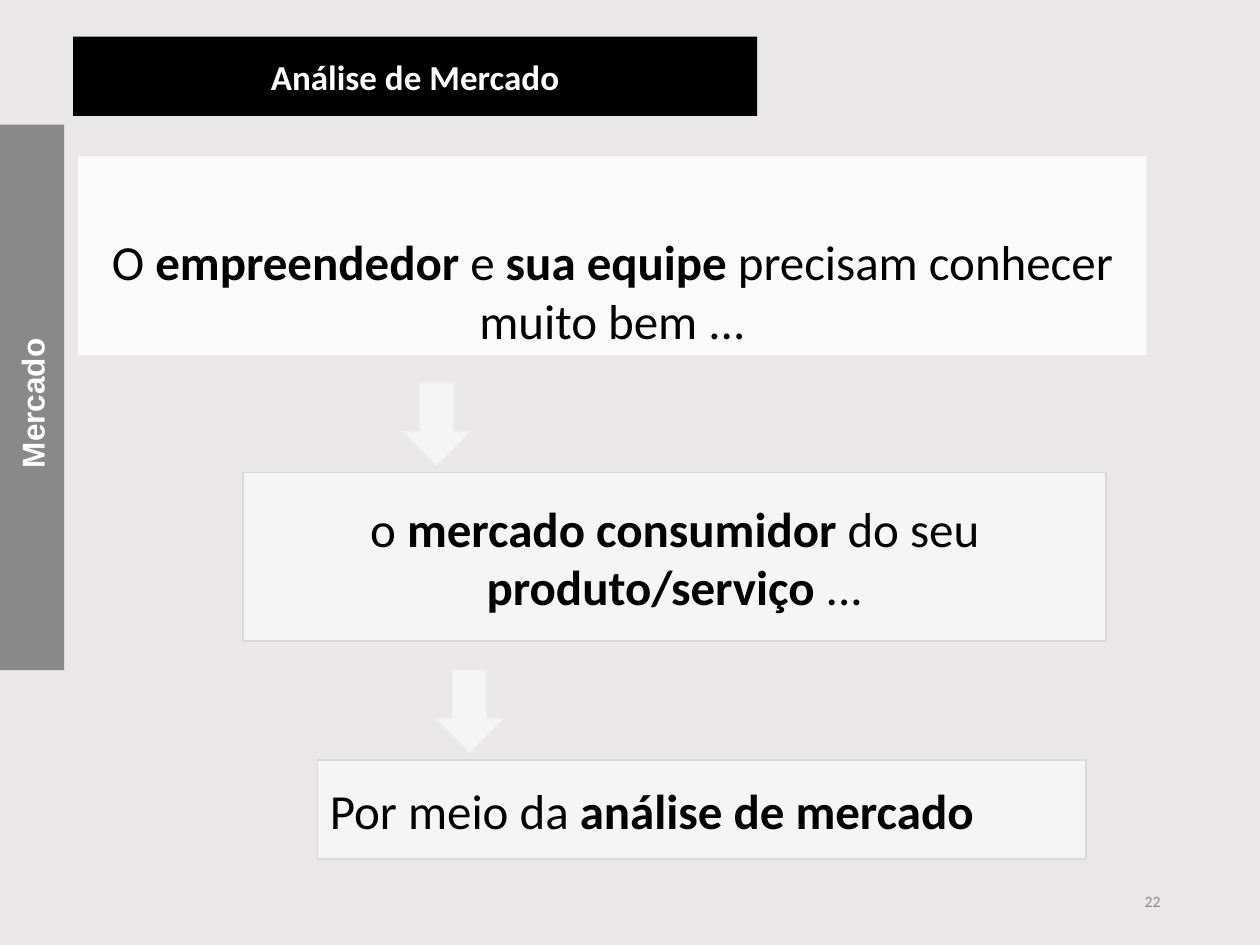
from dataclasses import dataclass

from lxml import etree
from pptx import Presentation
from pptx.dml.color import RGBColor
from pptx.enum.shapes import MSO_SHAPE
from pptx.enum.text import MSO_ANCHOR, PP_ALIGN
from pptx.oxml.ns import qn
from pptx.util import Inches, Pt

RECT, ARROW = MSO_SHAPE.RECTANGLE, MSO_SHAPE.DOWN_ARROW
LEFT, CENTER, RIGHT = PP_ALIGN.LEFT, PP_ALIGN.CENTER, PP_ALIGN.RIGHT
MIDDLE, BOTTOM = MSO_ANCHOR.MIDDLE, MSO_ANCHOR.BOTTOM


@dataclass(frozen=True)
class Theme:
    """Colours, fonts and type sizes of the slide."""
    back: str = "E9E7E7"
    side: str = "7C7C7C"
    black: str = "000000"
    white: str = "FFFFFF"
    pale: str = "FAFAFA"
    card: str = "F5F5F5"
    edge: str = "D9D9D9"
    rim: str = "F1F0F0"
    mute: str = "8C8C8C"
    face: str = "Calibri"
    tab: str = "Arial"
    body: int = 28
    head: int = 20
    label: int = 18
    note: int = 9


THEME = Theme()


def color(code):
    """Turn a hex code into a colour."""
    return RGBColor.from_string(code)


def add_box(slide, box, fill, line=None, kind=RECT):
    """Add a flat shape in the given box."""
    shape = slide.shapes.add_shape(kind, *map(Inches, box))
    shape.shadow.inherit = False
    shape.fill.solid()
    shape.fill.fore_color.rgb = color(fill)
    if line:
        shape.line.color.rgb = color(line)
        shape.line.width = Pt(1)
    else:
        shape.line.fill.background()
    return shape


def write(shape, runs, size, ink, align=CENTER, face=THEME.face, anchor=MIDDLE):
    """Write one paragraph of (text, bold) runs in a shape."""
    frame = shape.text_frame
    frame.word_wrap = True
    frame.vertical_anchor = anchor
    para = frame.paragraphs[0]
    para.alignment = align
    for text, bold in runs:
        run = para.add_run()
        run.text = text
        font = run.font
        font.name, font.size, font.bold = face, Pt(size), bold
        font.color.rgb = color(ink)


def add_side(slide, box, text):
    """Add the translucent side tab with upright text."""
    shape = add_box(slide, box, THEME.side)
    tint = shape.fill._xPr.find(qn("a:solidFill"))[0]
    etree.SubElement(tint, qn("a:alpha")).set("val", "88000")
    write(shape, [(text, True)], THEME.label, THEME.white, face=THEME.tab)
    frame = shape.text_frame
    frame.margin_top = Inches(0.19)
    frame._txBody.bodyPr.set("vert", "vert270")


def add_title(slide, box, text):
    """Add the black title bar."""
    shape = add_box(slide, box, THEME.black)
    write(shape, [(text, True)], THEME.head, THEME.white)


def add_intro(slide, box, runs):
    """Add the opening panel with its text at the foot."""
    shape = add_box(slide, box, THEME.pale)
    write(shape, runs, THEME.body, THEME.black, anchor=BOTTOM)


def add_step(slide, box, runs, shift, align=CENTER):
    """Add an outlined step and the arrow that leads down to it."""
    left, top = box[:2]
    shape = add_box(slide, box, THEME.card, THEME.edge)
    write(shape, runs, THEME.body, THEME.black, align)
    add_box(slide, (left + shift, top - 0.71, 0.53, 0.65),
            THEME.card, THEME.rim, ARROW)


def add_page(slide, box, text):
    """Add the page number."""
    shape = slide.shapes.add_textbox(*map(Inches, box))
    write(shape, [(text, False)], THEME.note, THEME.mute, RIGHT)


def main():
    """Build the slide and save it."""
    deck = Presentation()
    deck.slide_width, deck.slide_height = Inches(10), Inches(7.5)
    slide = deck.slides.add_slide(deck.slide_layouts[6])
    slide.background.fill.solid()
    slide.background.fill.fore_color.rgb = color(THEME.back)

    add_side(slide, (0, 0.99, 0.51, 4.33), "Mercado")
    add_title(slide, (0.58, 0.29, 5.43, 0.63), "Análise de Mercado")
    add_intro(slide, (0.62, 1.24, 8.48, 1.58), [
        ("O ", False), ("empreendedor", True), (" e ", False),
        ("sua equipe ", True), ("precisam conhecer muito bem ...", False)])
    add_step(slide, (1.93, 3.75, 6.85, 1.34), [
        ("o ", False), ("mercado consumidor ", True), ("do seu ", False),
        ("produto/serviço ", True), ("...", False)], 1.27)
    add_step(slide, (2.52, 6.03, 6.1, 0.79), [
        ("Por meio da ", False), ("análise de mercado", True)], 0.94, LEFT)
    add_page(slide, (7.06, 6.95, 2.25, 0.4), "22")
    deck.save("out.pptx")


if __name__ == "__main__":
    main()
